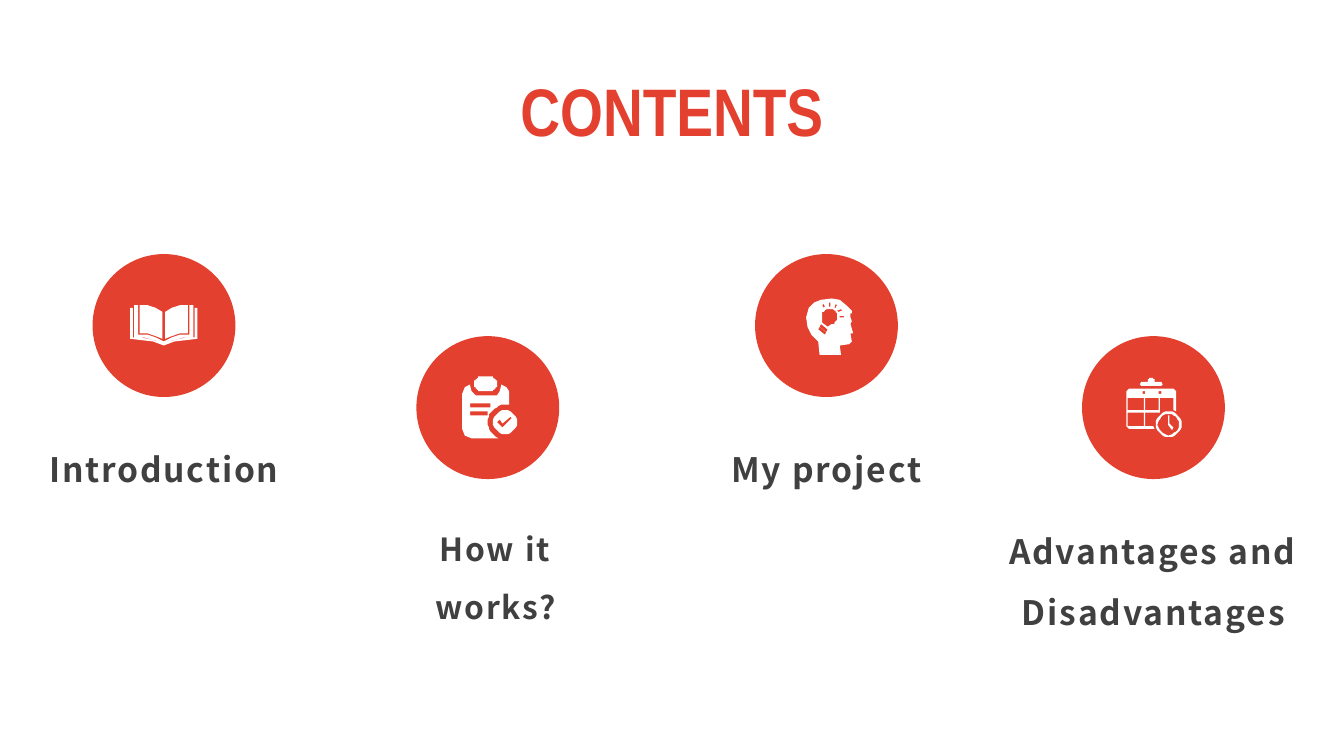
from math import cos, radians, sin

from pptx import Presentation
from pptx.dml.color import RGBColor
from pptx.enum import shapes, text
from pptx.util import Cm, Pt


def arc(x, y, r, start=0, end=360):
    count = 24
    turns = [radians(start + (end - start) * i / count) for i in range(count + 1)]
    return [(x + r * cos(t), y + r * sin(t)) for t in turns]


def box(left, top, right, low, r=0):
    if not r:
        return [(left, top), (right, top), (right, low), (left, low)]
    return (arc(left + r, top + r, r, 180, 270) + arc(right - r, top + r, r, 270, 360)
            + arc(right - r, low - r, r, 0, 90) + arc(left + r, low - r, r, 90, 180))


def mirror(parts, axis):
    return parts + [[(2 * axis - x, y) for x, y in part] for part in parts]


THEME = {
    "red": RGBColor(0xE4, 0x40, 0x2F), "white": RGBColor(255, 255, 255),
    "gray": RGBColor(0x40, 0x40, 0x40),
    "head": "Arial Narrow", "body": "Noto Sans CJK SC",
    "title": 36, "label": 18, "small": 17,
}

BOOK = mirror([
    [(52.3, 63), (52.3, 43), (47, 39.8), (41, 38.3), (35, 38), (35, 59), (41, 59.4), (47, 60.9)],
    [(53, 67), (53, 65), (47, 62), (41, 60.4), (33.5, 60), (33.5, 38), (31, 38), (31, 62),
     (38, 62.3), (46, 64)],
    [(29.5, 40), (28, 40), (28, 63), (36, 63.5), (45, 65.3), (53, 68.2), (53, 67.2),
     (45, 64.3), (36, 62.5), (29.5, 62.2)],
], 53)

BOARD = [
    [(40, 35.5), (40, 37), (41, 41), (44, 43.6), (47, 44), (56, 44), (59.5, 43.5), (62, 41),
     (63, 37), (63, 35.5), (67, 37.5), (69, 41)] + arc(66, 64, 13, -77, -247)
    + [(41, 76), (36, 74), (34, 69), (34, 43), (36, 38)],
    box(43, 30, 60, 41, 5.5),
    box(40, 50, 55, 53, 1.5),
    box(40, 56, 53, 59, 1.5),
    arc(66, 64, 9),
    [(60.5, 64), (62, 62.5), (64.5, 65), (69.5, 59.8), (71.3, 61.4), (64.5, 68.5)],
]

HEAD = [
    [(48, 75), (47, 65), (42, 60.5), (38.7, 54), (38.2, 47), (40.5, 40.5), (44, 36.5),
     (49, 34), (57, 33), (63, 34.5), (69, 39), (72, 42), (72, 44), (71, 44), (71, 47),
     (72, 50), (71, 52), (73, 59), (71, 59), (72, 65), (70, 67), (63, 68), (64, 75)],
    arc(55.5, 46.5, 6, 190, 440) + [(54, 54), (50, 51)],
    [(49, 52), (54, 56), (53, 57.5), (48, 53.5)],
    [(48, 54.5), (53, 58.5), (52, 59.5), (47, 55.5)],
    [(51, 40), (52, 39), (51, 37), (50, 38)],
    box(55, 36, 56, 39),
    [(59, 40), (60, 40), (61, 38), (60, 37)],
    [(61, 42), (62, 43), (65, 42), (64, 41)],
    box(63, 46, 66, 47),
]

DATES = [
    arc(51.5, 34, 3, 180, 360) + [(59, 34), (60, 35.5), (59, 37), (44, 37), (43, 35.5), (44, 34)],
    [(33, 41), (35, 39), (68, 39), (70, 41), (70, 56), (68.5, 55), (68.5, 46), (58, 46),
     (58, 57), (47, 57), (47, 67), (53, 67), (54, 69), (35, 69), (33, 67)],
    box(34.5, 46, 45.5, 55),
    box(47, 46, 57, 55),
    box(34.5, 57, 45.5, 67),
    arc(46, 42, 1.5),
    arc(58, 42, 1.5),
    arc(64.5, 65.5, 9.5),
    arc(64.5, 65.5, 8),
    [(63.5, 59), (65, 59), (65, 65), (68, 68.5), (67, 69.5), (63.5, 66)],
]

TITLE = "CONTENTS"
HIGH, LOW = 4.8, 6.35
ITEMS = [
    ("Introduction", BOOK, 1.75, HIGH, 0, 4.9, 1.27, "label"),
    ("How it works?", BOARD, 7.87, LOW, 0.15, 4.62, 1.22, "small"),
    ("My project", HEAD, 14.27, HIGH, 0, 4.42, 1.27, "label"),
    ("Advantages and Disadvantages", DATES, 20.45, LOW, 0, 6.45, 2.41, "label"),
]
DISC, DROP = 2.7, 3.18


def paint(shape, color):
    shape.shadow.inherit = False
    shape.fill.solid()
    shape.fill.fore_color.rgb = THEME[color]
    shape.line.fill.background()


def write(slide, words, place, *, size, color, font, lead=None, space=0):
    frame = slide.shapes.add_textbox(*map(Cm, place)).text_frame
    frame.word_wrap = True
    para = frame.paragraphs[0]
    para.alignment = text.PP_ALIGN.CENTER
    if lead:
        para.line_spacing = lead
    run = para.add_run()
    run.text = words
    run.font.name, run.font.size, run.font.bold = THEME[font], Pt(THEME[size]), True
    run.font.color.rgb = THEME[color]
    props = run.font._element
    if space:
        props.set("spc", str(space))
    east = props.makeelement(props[-1].tag.replace("latin", "ea"), {"typeface": THEME[font]})
    props.append(east)


def draw(slide, parts, left, top):
    pen = slide.shapes.build_freeform(*parts[0][0], scale=Cm(0.0254))
    for i, part in enumerate(parts):
        if i:
            pen.move_to(*part[0])
        pen.add_line_segments(part[1:], close=True)
    paint(pen.convert_to_shape(Cm(left), Cm(top)), "white")


def main():
    deck = Presentation()
    deck.slide_width, deck.slide_height = Cm(25.4), Cm(14.28)
    slide = deck.slides.add_slide(deck.slide_layouts[6])
    write(slide, TITLE, (9.17, 1.19, 7.06, 1.8), size="title", color="red", font="head")
    for words, icon, left, top, shift, width, height, size in ITEMS:
        disc = slide.shapes.add_shape(shapes.MSO_SHAPE.OVAL, *map(Cm, (left, top, DISC, DISC)))
        paint(disc, "red")
        draw(slide, icon, left, top)
        start = left + (DISC - width) / 2 + shift
        write(slide, words, (start, top + DROP, width, height),
              size=size, color="gray", font="body", lead=1.5, space=100)
    deck.save("out.pptx")


if __name__ == "__main__":
    main()
